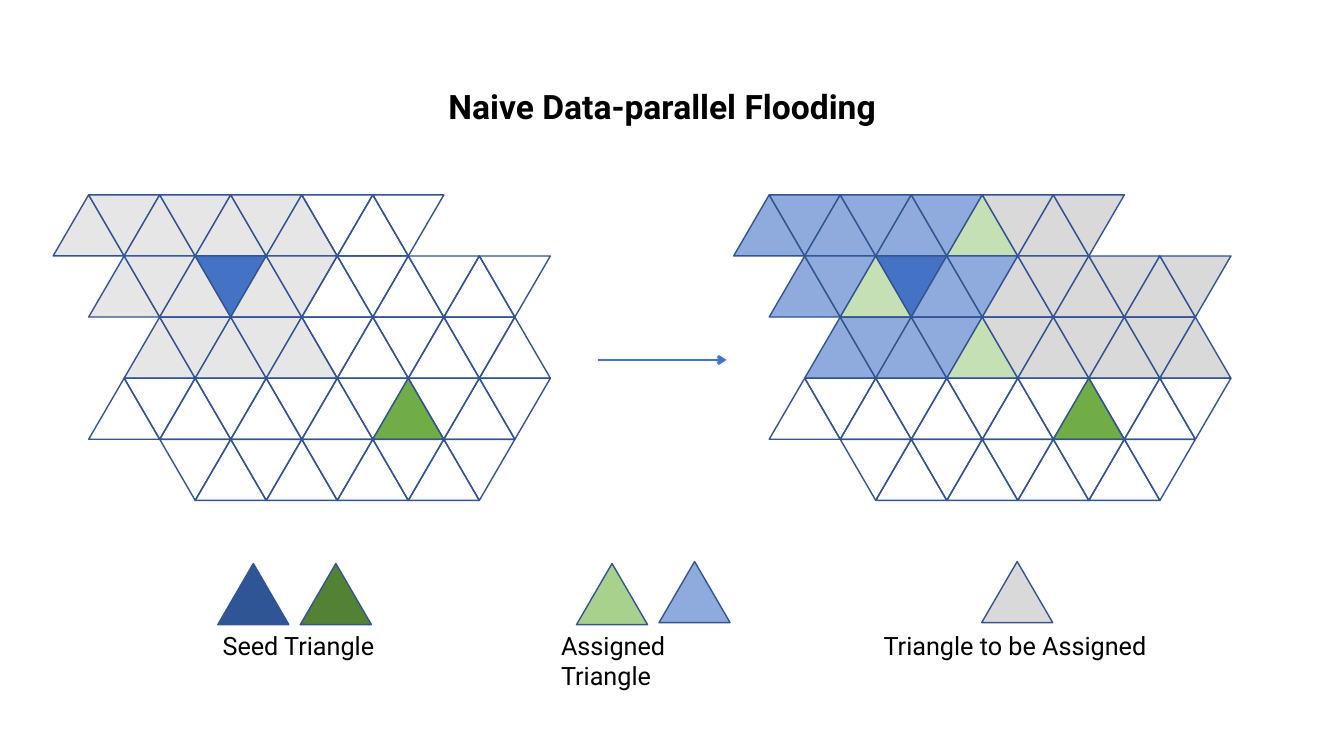
import pptx
import pptx.dml.color
import pptx.enum.shapes
import pptx.enum.text
import pptx.oxml
import pptx.oxml.ns
import pptx.util

Cm = pptx.util.Cm
Pt = pptx.util.Pt

TRIANGLE_WIDTH = 1.79
TRIANGLE_HEIGHT = 1.54
MESH_TOP = 4.91
OUTLINE = "325491"
FILLS = {
    "B": "4472C4",
    "G": "70AD47",
    "b": "8FAADC",
    "l": "C5E0B4",
    "g": "E7E6E6",
    "t": "D9D9D9",
}
MESH_BEFORE = [
    "ggggggg...",
    " gggBgg......",
    "  ggggg......",
    " ........G...",
    "   .........",
]
MESH_AFTER = [
    "bbbbbblttt",
    " bblBbbtttttt",
    "  bbbbltttttt",
    " ........G...",
    "   .........",
]
LEGEND_TRIANGLES = [
    (5.49, 14.2, "2F5597"),
    (7.57, 14.2, "548235"),
    (14.53, 14.2, "A9D18E"),
    (16.61, 14.15, "8FAADC"),
    (24.74, 14.15, "D9D9D9"),
]
LEGEND_LABELS = [
    (5.36, 15.77, 4.47, "Seed Triangle"),
    (13.89, 15.75, 5.33, "Assigned Triangle"),
    (22.02, 15.77, 7.24, "Triangle to be Assigned"),
]


def color(hex_value):
    """Turn a hex string into a colour."""
    return pptx.dml.color.RGBColor.from_string(hex_value)


def add_triangle(shapes, left, top, fill=None, points_down=False):
    """Add one outlined mesh triangle, unfilled when no colour is given."""
    triangle = shapes.add_shape(
        pptx.enum.shapes.MSO_SHAPE.ISOSCELES_TRIANGLE,
        Cm(left), Cm(top), Cm(TRIANGLE_WIDTH), Cm(TRIANGLE_HEIGHT))
    triangle.shadow.inherit = False
    triangle.rotation = 180 if points_down else 0
    if fill:
        triangle.fill.solid()
        triangle.fill.fore_color.rgb = color(fill)
    else:
        triangle.fill.background()
    triangle.line.color.rgb = color(OUTLINE)
    triangle.line.width = Pt(1)


def add_mesh(slide, left, rows):
    """Add a grouped mesh in which neighbours alternate in direction."""
    mesh = slide.shapes.add_group_shape()
    for row, states in enumerate(rows):
        for column, state in enumerate(states):
            if state != " ":
                add_triangle(
                    mesh.shapes,
                    left + column * TRIANGLE_WIDTH / 2,
                    MESH_TOP + row * TRIANGLE_HEIGHT,
                    FILLS.get(state),
                    points_down=(row + column) % 2 == 1)


def add_label(slide, left, top, width, height, wording, size=18, bold=False,
              alignment=pptx.enum.text.PP_ALIGN.LEFT):
    """Add a wrapped text box holding one paragraph."""
    label = slide.shapes.add_textbox(Cm(left), Cm(top), Cm(width), Cm(height))
    frame = label.text_frame
    frame.word_wrap = True
    frame.auto_size = pptx.enum.text.MSO_AUTO_SIZE.SHAPE_TO_FIT_TEXT
    paragraph = frame.paragraphs[0]
    paragraph.text = wording
    paragraph.alignment = alignment
    paragraph.font.name = "Roboto"
    paragraph.font.size = Pt(size)
    paragraph.font.bold = bold
    paragraph.font.color.rgb = color("000000")


def add_arrow(slide, start, end, y):
    """Add a horizontal arrow with an open head at its end."""
    arrow = slide.shapes.add_connector(
        pptx.enum.shapes.MSO_CONNECTOR.STRAIGHT, Cm(start), Cm(y), Cm(end), Cm(y))
    arrow.line.color.rgb = color("4472C4")
    arrow.line.width = Pt(2)
    head = pptx.oxml.parse_xml(
        f'<a:tailEnd {pptx.oxml.ns.nsdecls("a")} type="arrow"/>')
    arrow.line._get_or_add_ln().append(head)
    arrow._element.spPr.append(
        pptx.oxml.parse_xml(f'<a:effectLst {pptx.oxml.ns.nsdecls("a")}/>'))


def main():
    """Build the flooding slide and save it."""
    deck = pptx.Presentation()
    deck.slide_width = Cm(33.87)
    deck.slide_height = Cm(19.05)
    slide = deck.slides.add_slide(deck.slide_layouts[6])
    add_label(slide, 10.13, 2.03, 13.11, 1.27, "Naive Data-parallel Flooding",
              24, True, pptx.enum.text.PP_ALIGN.CENTER)
    add_mesh(slide, 1.34, MESH_BEFORE)
    add_arrow(slide, 15.06, 18.31, 9.07)
    add_mesh(slide, 18.49, MESH_AFTER)
    for left, top, fill in LEGEND_TRIANGLES:
        add_triangle(slide.shapes, left, top, fill)
    for left, top, width, wording in LEGEND_LABELS:
        add_label(slide, left, top, width, 1.02, wording)
    deck.save("out.pptx")


main()
